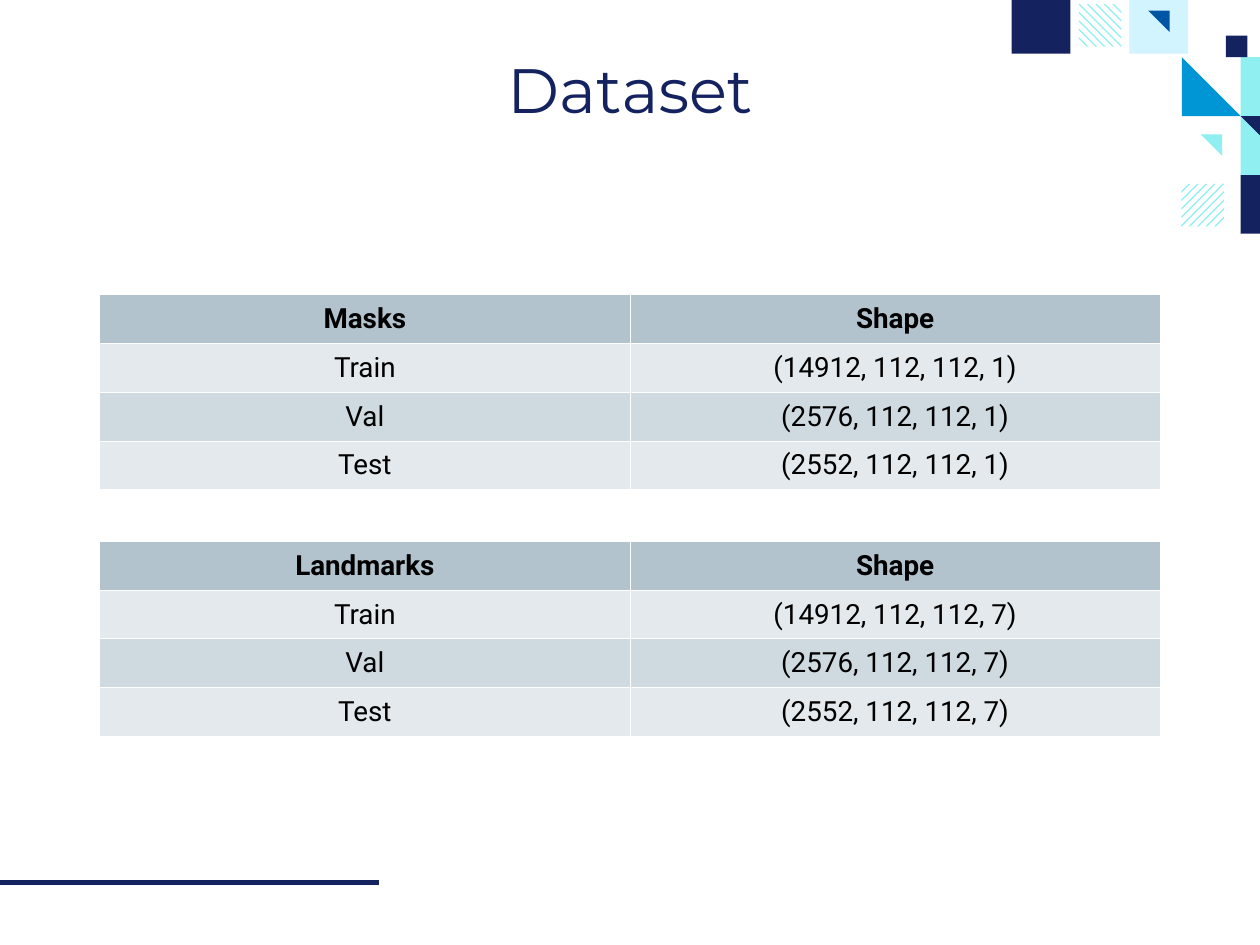
from dataclasses import dataclass

from lxml.etree import SubElement
from pptx import Presentation
from pptx.dml.color import RGBColor
from pptx.enum.shapes import MSO_CONNECTOR as Connector, MSO_SHAPE as Preset
from pptx.enum.text import MSO_ANCHOR as Anchor, PP_ALIGN as Align
from pptx.oxml.ns import qn
from pptx.slide import Slide
from pptx.util import Inches, Pt

COLUMNS, ROWS, CELL = 24, 18, 1.05
NAVY, AQUA, PALE, BLUE, SKY = "142360", "90EFF1", "D1F4FF", "0055A5", "0095D5"
WHITE, BLACK = "FFFFFF", "000000"
HEADER, ODD, EVEN = "B3C3CE", "E3E9ED", "CFD9E0"
TILE, SMALL, HATCH = 1.12, 0.41, 0.81
EDGE, TOP = 23.63, 1.09
EDGE_WIDTH = COLUMNS - EDGE


@dataclass
class Tile:
    column: float
    row: float
    width: float
    height: float
    color: str
    preset: Preset = Preset.RECTANGLE
    rotation: int = 0


@dataclass
class Hatch:
    column: float
    row: float
    mirrored: bool


@dataclass
class ShapeTable:
    row: float
    name: str
    channels: int


def corner(column: float, row: float, size: float, color: str, rotation: int = 180) -> Tile:
    return Tile(column, row, size, size, color, Preset.RIGHT_TRIANGLE, rotation)


TILES = [
    Tile(19.27, 0, TILE, 1.02, NAVY),
    Tile(21.51, 0, TILE, 1.02, PALE),
    corner(21.87, 0.2, SMALL, BLUE),
    Tile(EDGE, TOP, EDGE_WIDTH, TILE, AQUA),
    Tile(EDGE, TOP + 2 * TILE, EDGE_WIDTH, TILE, NAVY),
    Tile(23.35, TOP - SMALL, SMALL, SMALL, NAVY),
    Tile(EDGE, TOP + TILE, EDGE_WIDTH, TILE, AQUA),
    corner(EDGE, TOP + TILE, EDGE_WIDTH, NAVY),
    corner(22.87, 2.56, SMALL, AQUA),
    corner(EDGE - TILE, TOP, TILE, SKY, 0),
]
HATCHES = [Hatch(20.55, 0.08, False), Hatch(22.5, 3.5, True)]
TABLES = [ShapeTable(10.31, "Landmarks", 7), ShapeTable(5.61, "Masks", 1)]
SPLITS = {"Train": 14912, "Val": 2576, "Test": 2552}


def grid(cells: float) -> Inches:
    return Inches(cells * CELL)


def rgb(color: str) -> RGBColor:
    return RGBColor.from_string(color)


def paint(shape, color: str) -> None:
    shape.shadow.inherit = False
    shape.fill.solid()
    shape.fill.fore_color.rgb = rgb(color)
    shape.line.fill.background()


def write(frame, text: str, font: str, size: float, color: str, bold: bool = False) -> None:
    para = frame.paragraphs[0]
    para.alignment = Align.CENTER
    span = para.add_run()
    span.text = text
    span.font.name = font
    span.font.size = Pt(size)
    span.font.bold = bold
    span.font.color.rgb = rgb(color)


def draw_tile(page: Slide, tile: Tile) -> None:
    shape = page.shapes.add_shape(
        tile.preset, grid(tile.column), grid(tile.row), grid(tile.width), grid(tile.height))
    shape.rotation = tile.rotation
    paint(shape, tile.color)


def stripe_points(low: float, high: float) -> list[tuple[float, float]]:
    def start(shift: float) -> tuple[float, float]:
        return max(shift, 0), max(-shift, 0)

    def end(shift: float) -> tuple[float, float]:
        return HATCH + min(shift, 0), HATCH - max(shift, 0)

    shifts = [low, 0, high] if low < 0 < high else [low, high]
    return [start(shift) for shift in shifts] + [end(shift) for shift in reversed(shifts)]


def draw_hatch(page: Slide, hatch: Hatch) -> None:
    group = page.shapes.add_group_shape()
    for index in range(-4, 5):
        low = index * HATCH / 5 - 0.01
        points = [
            (grid(hatch.column + (HATCH - x if hatch.mirrored else x)), grid(hatch.row + y))
            for x, y in stripe_points(low, low + HATCH / 25)]
        builder = group.shapes.build_freeform(*points[0])
        builder.add_line_segments(points[1:], close=True)
        paint(builder.convert_to_shape(), AQUA)


def draw_rule(page: Slide) -> None:
    rule = page.shapes.add_connector(
        Connector.STRAIGHT, 0, grid(16.81), grid(7.22), grid(16.81))
    rule.line.color.rgb = rgb(NAVY)
    rule.line.width = Pt(6)
    SubElement(rule._element.spPr, qn("a:effectLst"))


def add_borders(cell) -> None:
    properties = cell._tc.get_or_add_tcPr()
    for side in ("lnL", "lnR", "lnT", "lnB"):
        line = SubElement(properties, qn(f"a:{side}"), w=str(Pt(1.5)))
        fill = SubElement(line, qn("a:solidFill"))
        SubElement(fill, qn("a:srgbClr"), val=WHITE)


def draw_table(page: Slide, content: ShapeTable) -> None:
    lines = [(content.name, "Shape")] + [
        (split, f"({count}, 112, 112, {content.channels})") for split, count in SPLITS.items()]
    table = page.shapes.add_table(
        len(lines), 2, grid(1.9), grid(content.row), grid(20.2), grid(0.93 * len(lines))).table
    table.first_row = table.horz_banding = False
    for row, texts in enumerate(lines):
        for column, text in enumerate(texts):
            cell = table.cell(row, column)
            add_borders(cell)
            cell.fill.solid()
            cell.fill.fore_color.rgb = rgb(HEADER if row == 0 else ODD if row % 2 else EVEN)
            cell.vertical_anchor = Anchor.MIDDLE
            cell.margin_left = cell.margin_right = grid(0.14)
            cell.margin_top = cell.margin_bottom = grid(0.15)
            write(cell.text_frame, text, "Roboto", 40, BLACK, bold=row == 0)


def draw_title(page: Slide) -> None:
    box = page.shapes.add_textbox(grid(0.48), grid(0.5), grid(23.04), grid(2.38))
    frame = box.text_frame
    frame.word_wrap = True
    frame.vertical_anchor = Anchor.MIDDLE
    frame.margin_left = frame.margin_right = grid(0.27)
    frame.margin_top = frame.margin_bottom = grid(0.27)
    write(frame, "Dataset", "Montserrat", 90.2, NAVY)


def main() -> None:
    deck = Presentation()
    deck.slide_width, deck.slide_height = grid(COLUMNS), grid(ROWS)
    page = deck.slides.add_slide(deck.slide_layouts[6])
    for hatch in HATCHES:
        draw_hatch(page, hatch)
    for tile in TILES:
        draw_tile(page, tile)
    draw_rule(page)
    for content in TABLES:
        draw_table(page, content)
    draw_title(page)
    deck.save("out.pptx")


if __name__ == "__main__":
    main()
